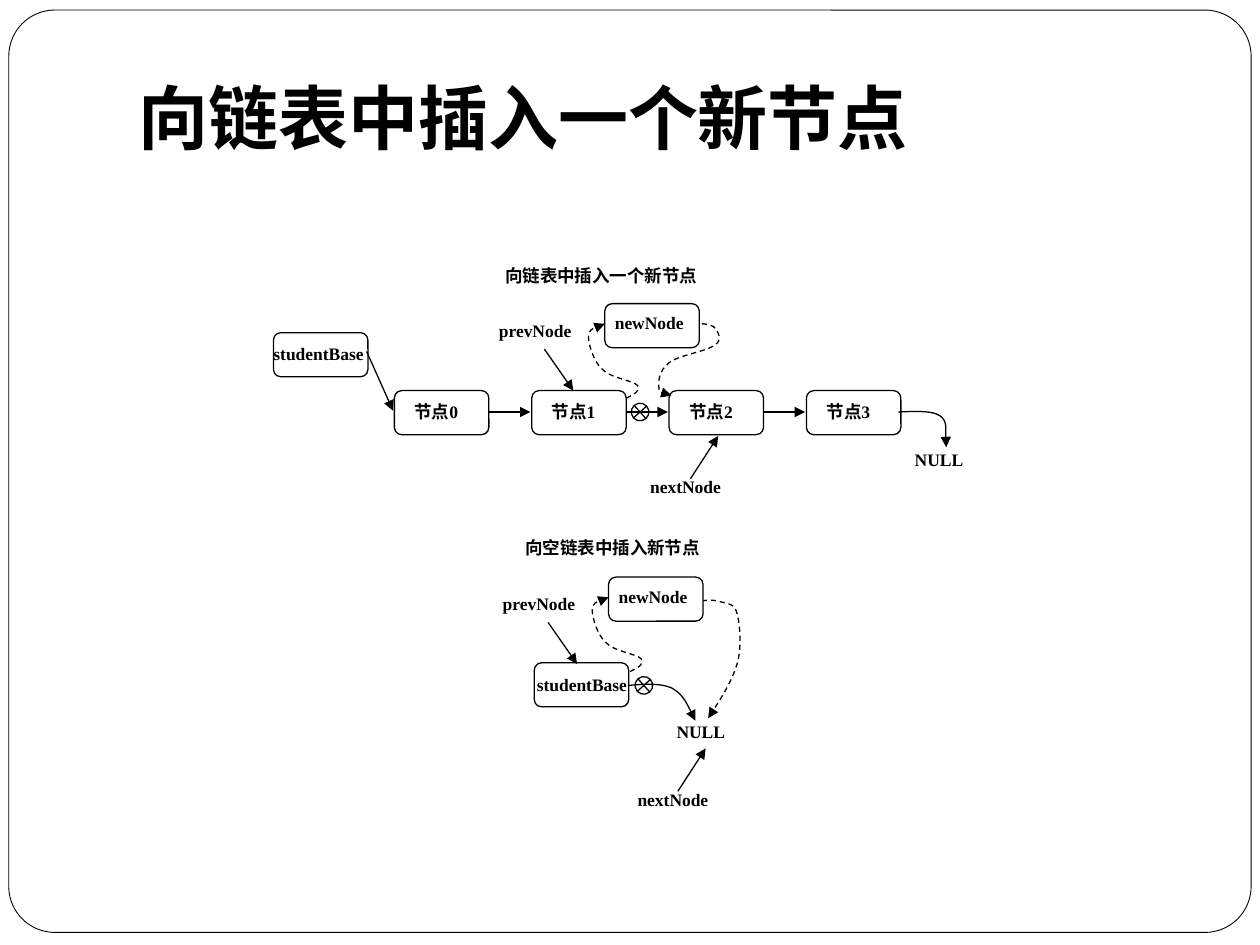
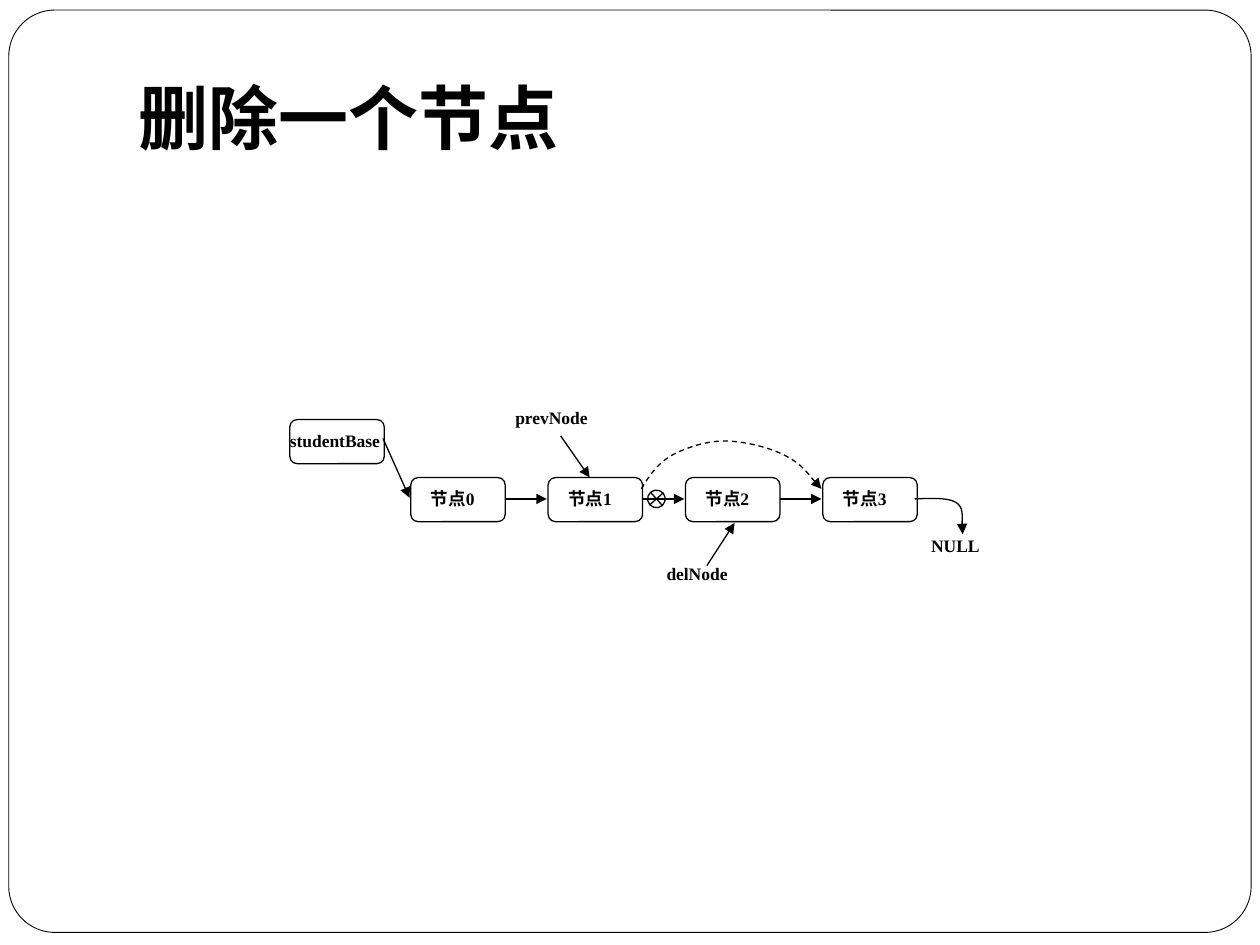
from lxml.etree import SubElement
from pptx import Presentation
from pptx.dml.color import RGBColor
from pptx.enum.dml import MSO_LINE
from pptx.enum.shapes import MSO_CONNECTOR, MSO_SHAPE
from pptx.enum.text import MSO_ANCHOR, PP_ALIGN
from pptx.oxml.ns import qn
from pptx.util import Cm, Pt

COLORS = {"ink": "000000", "paper": "FFFFFF"}
LATIN, CJK = "Times New Roman", "Noto Sans CJK SC"
BOX_W, BOX_H, LABEL_H = 0.75, 0.35, 0.26
CROSS = 0.14
NODE_X, NODE_Y, NODE_STEP = 3.13, 3.1, 1.09

BASE_CHAIN = {
    "boxes": [(2.17, 2.64)] + [(NODE_X + NODE_STEP * i, NODE_Y) for i in range(4)],
    "labels": [("studentBase", 2.15, 2.71, 0.79), ("NULL", 7.24, 3.55, 0.43)]
    + [(f"节点{i}", NODE_X + 0.14 + NODE_STEP * i, 3.17, 0.48) for i in range(4)],
    "arrows": [((2.91, 2.79), (3.12, 3.26))]
    + [((x, 3.27), (x + 0.33, 3.27)) for x in (3.88, 4.97, 6.06)],
    "curves": [
        ([(7.13, 3.27), (7.19, 3.27), (7.39, 3.25), (7.46, 3.3),
          (7.52, 3.34), (7.5, 3.49), (7.51, 3.55)], False),
    ],
}
PREVIOUS = {
    "labels": [("prevNode", 3.94, 2.53, 0.7)],
    "arrows": [((4.32, 2.77), (4.55, 3.1))],
    "crosses": [(5.01, 3.2)],
}
NEW_NODE = {
    "boxes": [(4.8, 2.41)],
    "labels": [("newNode", 4.86, 2.47, 0.6)],
    "curves": [
        ([(4.97, 3.16), (5.03, 3.13), (5.09, 3.1), (5.06, 3.06),
          (5.03, 3.02), (4.84, 3), (4.78, 2.93),
          (4.71, 2.87), (4.67, 2.73), (4.67, 2.67),
          (4.68, 2.61), (4.74, 2.59), (4.8, 2.57)], True),
    ],
}
NEW_TO_NEXT = {
    "labels": [("向链表中插入一个新节点", 3.99, 2.09, 1.7)],
    "curves": [
        ([(5.57, 2.57), (5.59, 2.57), (5.67, 2.58), (5.68, 2.61),
          (5.7, 2.64), (5.74, 2.7), (5.67, 2.74),
          (5.61, 2.79), (5.38, 2.82), (5.31, 2.88),
          (5.23, 2.94), (5.22, 3.04), (5.23, 3.08),
          (5.23, 3.12), (5.28, 3.13), (5.33, 3.14)], True),
    ],
}
EMPTY_LIST = {
    "boxes": [(4.24, 5.26)],
    "labels": [("studentBase", 4.24, 5.34, 0.81), ("NULL", 5.35, 5.71, 0.43),
               ("向空链表中插入新节点", 4.15, 4.25, 1.7)],
    "curves": [
        ([(4.99, 5.44), (5.11, 5.43), (5.24, 5.42), (5.33, 5.46),
          (5.42, 5.51), (5.47, 5.62), (5.52, 5.72)], False),
        ([(5.57, 4.77), (5.62, 4.76), (5.68, 4.76), (5.73, 4.78),
          (5.77, 4.79), (5.83, 4.79), (5.85, 4.87),
          (5.87, 4.95), (5.89, 5.13), (5.85, 5.27),
          (5.81, 5.4), (5.72, 5.55), (5.62, 5.7)], True),
    ],
}
BYPASS = {
    "curves": [
        ([(5.09, 3.88), (5.15, 3.78), (5.21, 3.69), (5.32, 3.62),
          (5.43, 3.56), (5.59, 3.5), (5.75, 3.5),
          (5.9, 3.5), (6.11, 3.55), (6.24, 3.62),
          (6.36, 3.68), (6.46, 3.82), (6.52, 3.88)], True),
    ],
}


def pointer_below(name):
    return {"labels": [(name, 5.14, 3.77, 0.7)],
            "arrows": [((5.48, 3.8), (5.7, 3.46))]}


LOWER, DELETE = (0.03, 2.17), (0.13, 0.69)
SLIDES = [
    ("向链表中插入一个新节点", [
        (EMPTY_LIST, (0, 0)),
        (PREVIOUS, LOWER),
        (NEW_NODE, LOWER),
        (pointer_below("nextNode"), (-0.1, 2.48)),
        (BASE_CHAIN, (0, 0)),
        (PREVIOUS, (0, 0)),
        (NEW_NODE, (0, 0)),
        (NEW_TO_NEXT, (0, 0)),
        (pointer_below("nextNode"), (0, 0)),
    ]),
    ("删除一个节点", [
        (BASE_CHAIN, DELETE),
        (PREVIOUS, DELETE),
        (pointer_below("delNode"), DELETE),
        (BYPASS, (0, 0)),
    ]),
]


def inch(value):
    return Cm(value * 2.54)


def rgb(name):
    return RGBColor.from_string(COLORS[name])


def set_font(p, size, latin):
    p.font.size, p.font.bold, p.font.name = Pt(size), True, latin
    p.font.color.rgb = rgb("ink")
    for r in p.runs:
        SubElement(r._r.get_or_add_rPr(), qn("a:ea"), typeface=CJK)


def set_line(line, width=0.75, arrow=False, dashed=False):
    line.color.rgb, line.width = rgb("ink"), Pt(width)
    if dashed:
        line.dash_style = MSO_LINE.DASH
    if arrow:
        SubElement(line._get_or_add_ln(), qn("a:tailEnd"), type="triangle")


def add_outline(s, kind, x, y, w, h, fill=True, width=0.75):
    sp = s.shapes.add_shape(kind, inch(x), inch(y), inch(w), inch(h))
    sp.shadow.inherit = False
    if fill:
        sp.fill.solid()
        sp.fill.fore_color.rgb = rgb("paper")
    else:
        sp.fill.background()
    set_line(sp.line, width)
    return sp


def add_label(s, text, x, y, w):
    tf = s.shapes.add_textbox(inch(x), inch(y), inch(w), inch(LABEL_H)).text_frame
    tf.word_wrap = True
    tf.margin_left = tf.margin_right = inch(0.02)
    tf.margin_top = tf.margin_bottom = inch(0.01)
    p = tf.paragraphs[0]
    p.text = text
    set_font(p, 10, LATIN)


def add_arrow(s, start, end):
    line = s.shapes.add_connector(MSO_CONNECTOR.STRAIGHT, *map(inch, start + end))
    set_line(line.line, arrow=True)
    SubElement(line._element.spPr, qn("a:effectLst"))


def add_curve(s, points, dashed):
    points = [(inch(x), inch(y)) for x, y in points]
    builder = s.shapes.build_freeform(*points[0])
    builder.add_line_segments(points[1:], close=False)
    sp = builder.convert_to_shape()
    outline = sp._element.find(".//" + qn("a:path"))
    segments = outline.findall(qn("a:lnTo"))
    for i in range(0, len(segments), 3):
        bezier = SubElement(outline, qn("a:cubicBezTo"))
        for segment in segments[i:i + 3]:
            bezier.append(segment[0])
            outline.remove(segment)
    sp.shadow.inherit = False
    sp.fill.background()
    set_line(sp.line, arrow=True, dashed=dashed)


def draw(s, parts, dx, dy):
    def move(point):
        return point[0] + dx, point[1] + dy

    for box in parts.get("boxes", []):
        add_outline(s, MSO_SHAPE.ROUNDED_RECTANGLE, *move(box), BOX_W, BOX_H)
    for text, x, y, w in parts.get("labels", []):
        add_label(s, text, *move((x, y)), w)
    for start, end in parts.get("arrows", []):
        add_arrow(s, move(start), move(end))
    for cross in parts.get("crosses", []):
        sp = add_outline(s, MSO_SHAPE.FLOWCHART_OR, *move(cross), CROSS, CROSS, fill=False)
        sp.rotation = 48.2
    for points, dashed in parts.get("curves", []):
        add_curve(s, [move(point) for point in points], dashed)


def add_title(s, text):
    title = s.shapes.title
    title.left, title.top, title.width, title.height = map(inch, (1, 0.3, 8.5, 1.25))
    tf = title.text_frame
    tf.vertical_anchor = MSO_ANCHOR.MIDDLE
    p = tf.paragraphs[0]
    p.text, p.alignment = text, PP_ALIGN.LEFT
    set_font(p, 40, CJK)


def main():
    prs = Presentation()
    prs.slide_width, prs.slide_height = inch(10), inch(7.5)
    layout = prs.slide_layouts[5]
    slides = [prs.slides.add_slide(layout) for _ in SLIDES]
    frame = add_outline(slides[0], MSO_SHAPE.ROUNDED_RECTANGLE, 0.07, 0.08, 9.86, 7.32, width=0.5)
    frame.adjustments[0] = 0.05
    layout.shapes._spTree.insert(2, frame._element)
    for s, (title, diagrams) in zip(slides, SLIDES):
        add_title(s, title)
        for parts, shift in diagrams:
            draw(s, parts, *shift)
    prs.save("out.pptx")


if __name__ == "__main__":
    main()
